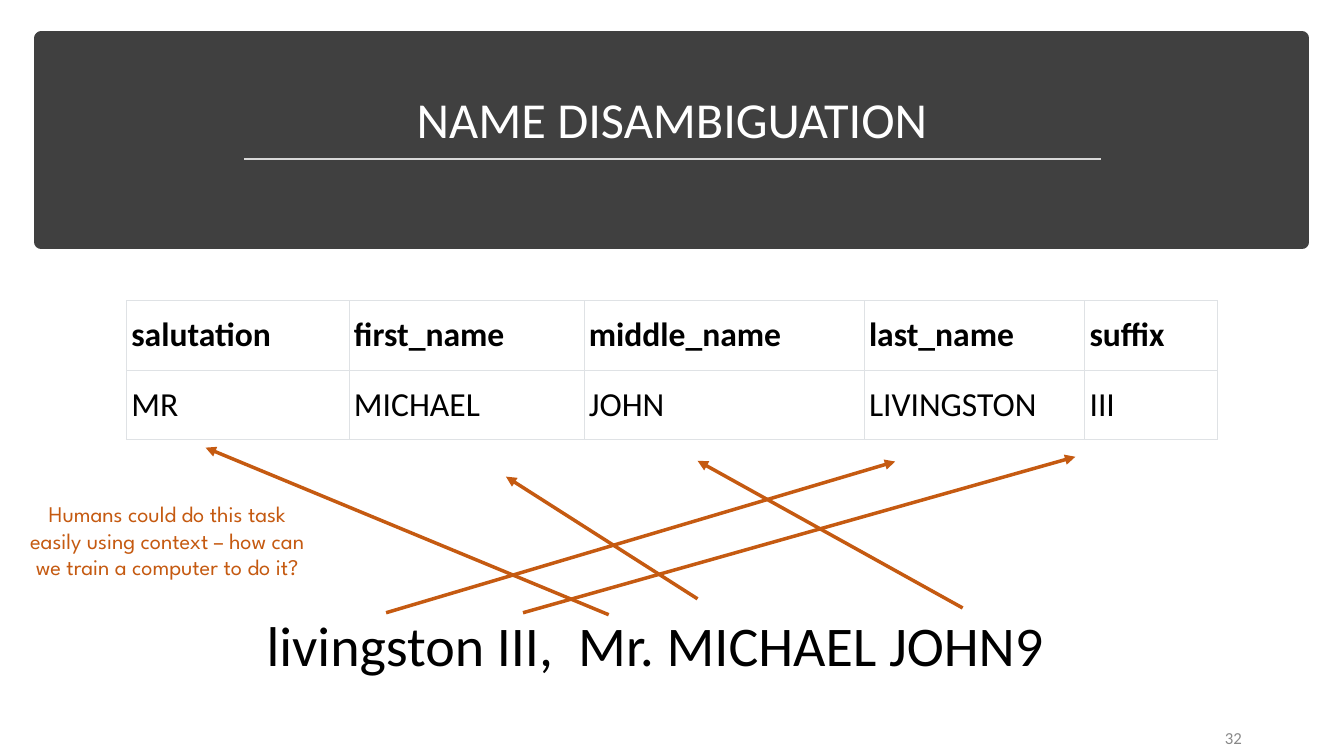
from lxml import etree
from pptx import Presentation
from pptx import util as u
from pptx.dml.color import RGBColor
from pptx.enum import shapes, text
from pptx.oxml import ns

COLORS = {
    "banner": "404040", "white": "FFFFFF", "rule": "D9D9D9", "number": "898989",
    "border": "DFE2E5", "black": "000000", "accent": "C55A11",
}
FONT, NOTE_FONT = "Calibri", "League Spartan"
CENTER, RIGHT = text.PP_ALIGN.CENTER, text.PP_ALIGN.RIGHT
TOP, MIDDLE, BOTTOM = text.MSO_ANCHOR.TOP, text.MSO_ANCHOR.MIDDLE, text.MSO_ANCHOR.BOTTOM

COLUMNS = [  # heading, parsed value, width in cm
    ("salutation", "MR", 5.61),
    ("first_name", "MICHAEL", 5.92),
    ("middle_name", "JOHN", 7.06),
    ("last_name", "LIVINGSTON", 5.56),
    ("suffix", "III", 3.35),
]
ARROWS = [  # from a word of the raw name to its column, in cm
    ((17.58, 15.09), (12.75, 12.01)),
    ((9.73, 15.44), (22.56, 11.63)),
    ((15.34, 15.49), (5.18, 11.28)),
    ((13.18, 15.44), (27.1, 11.51)),
    ((24.26, 15.32), (17.58, 11.61)),
]


def rgb(name):
    return RGBColor.from_string(COLORS[name])


def add_run(p, words, size, color, font=FONT, bold=False):
    r = p.add_run()
    r.text = words
    r.font.size, r.font.name, r.font.bold = u.Pt(size), font, bold
    r.font.color.rgb = rgb(color)


def fill_text(sp, words, size, color, font=FONT, align=CENTER, anchor=BOTTOM,
              spacing=None, after=0):
    tf = sp.text_frame
    tf.word_wrap = True
    tf.auto_size = text.MSO_AUTO_SIZE.NONE
    tf.vertical_anchor = anchor
    p = tf.paragraphs[0]
    p.alignment, p.line_spacing, p.space_after = align, spacing, u.Pt(after)
    add_run(p, words, size, color, font)


def add_text(slide, box, words, size, color, **style):
    sp = slide.shapes.add_textbox(*map(u.Cm, box))
    fill_text(sp, words, size, color, **style)


def add_line(slide, start, end, color, width, arrow=False):
    line = slide.shapes.add_connector(shapes.MSO_CONNECTOR.STRAIGHT,
                                      *map(u.Cm, start + end))
    line.line.color.rgb, line.line.width = rgb(color), u.Pt(width)
    if arrow:
        etree.SubElement(line.line._get_or_add_ln(), ns.qn("a:tailEnd"), type="triangle")
    etree.SubElement(line.element.spPr, ns.qn("a:effectLst"))


def add_banner(slide, box):
    """Dark band with the title and the rule below it."""
    left, top, width, height = box
    title = slide.shapes.title
    band = slide.shapes.add_shape(shapes.MSO_SHAPE.RECTANGLE, *map(u.Cm, box))
    band.shadow.inherit = False
    band.fill.solid()
    band.fill.fore_color.rgb = band.line.color.rgb = rgb("banner")
    band.line.width = u.Pt(10)
    title.element.addprevious(band.element)

    title.left, title.top = u.Cm(left + 0.43), u.Cm(top + 0.33)
    title.width, title.height = u.Cm(width - 0.84), u.Cm(2.59)
    fill_text(title, "NAME DISAMBIGUATION", 36, "white", spacing=0.9, after=6)
    rule_y = top + 3.04
    add_line(slide, (left + 5.11, rule_y), (left + width - 5.08, rule_y), "rule", 1.75)


def add_borders(cell):
    tc_pr = cell._tc.get_or_add_tcPr()
    for i, side in enumerate("LRTB"):
        ln = etree.Element(ns.qn(f"a:ln{side}"), w=str(u.Pt(0.3)))
        fill = etree.SubElement(ln, ns.qn("a:solidFill"))
        etree.SubElement(fill, ns.qn("a:srgbClr"), val=COLORS["border"])
        tc_pr.insert(i, ln)


def add_name_table(slide, left, top, row_height):
    width = sum(column[2] for column in COLUMNS)
    table = slide.shapes.add_table(2, len(COLUMNS), u.Cm(left), u.Cm(top),
                                   u.Cm(width), u.Cm(2 * row_height)).table
    table.first_row = table.horz_banding = False
    for row in table.rows:
        row.height = u.Cm(row_height)
    for c, (heading, value, col_width) in enumerate(COLUMNS):
        table.columns[c].width = u.Cm(col_width)
        for r, words in enumerate((heading, value)):
            cell = table.cell(r, c)
            cell.fill.solid()
            cell.fill.fore_color.rgb = rgb("white")
            cell.margin_left = cell.margin_right = u.Cm(0.13)
            cell.margin_top = cell.margin_bottom = u.Cm(0.08)
            cell.vertical_anchor = MIDDLE
            add_run(cell.text_frame.paragraphs[0], words, 24, "black", bold=r == 0)
            add_borders(cell)


def main():
    prs = Presentation()
    prs.slide_width, prs.slide_height = u.Cm(33.87), u.Cm(19.05)
    slide = prs.slides.add_slide(prs.slide_layouts[5])

    add_banner(slide, (1.04, 0.97, 31.78, 5.13))
    add_text(slide, (23.93, 18.11, 7.62, 0.97), "32", 12, "number",
             align=RIGHT, anchor=MIDDLE, after=6)
    add_name_table(slide, 3.18, 7.57, 1.75)
    add_text(slide, (1.04, 14.63, 30.94, 2.59), "livingston III,  Mr. MICHAEL JOHN9",
             40, "black", spacing=0.9, after=6)
    for start, end in ARROWS:
        add_line(slide, start, end, "accent", 2.5, arrow=True)
    add_text(slide, (0.43, 12.47, 7.57, 3),
             "Humans could do this task easily using context – how can we train "
             "a computer to do it?", 16, "accent", font=NOTE_FONT, anchor=TOP)
    prs.save("out.pptx")


if __name__ == "__main__":
    main()
